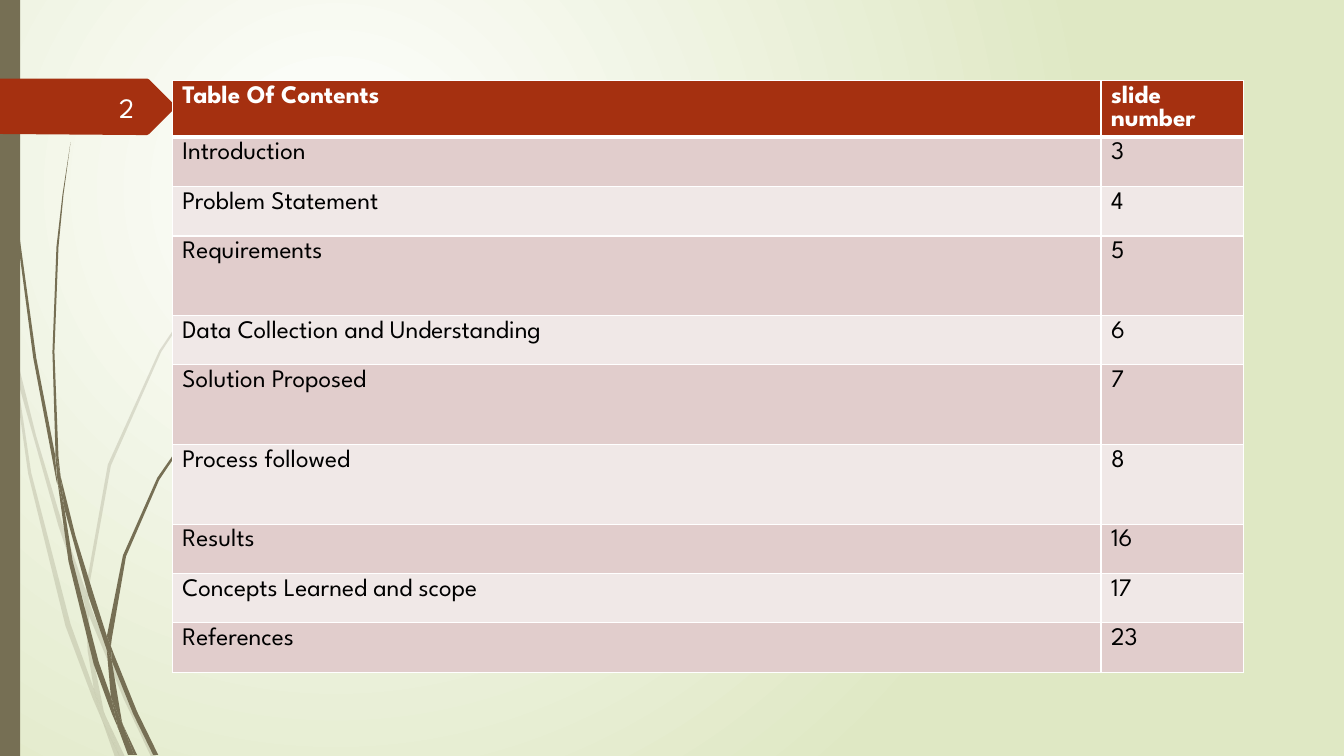
"""Build a table of contents slide with a wispy grass border."""
from dataclasses import dataclass

from pptx import Presentation
from pptx import util as u
from pptx.dml.color import RGBColor
from pptx.enum import shapes, text
from pptx.oxml import parse_xml
from pptx.oxml.ns import nsdecls, qn


@dataclass(frozen=True)
class Theme:
    """Colours, font and type sizes of the slide."""
    font: str = "League Spartan"
    body_size: int = 18
    number_size: int = 20
    grass: str = "766F54"
    accent: str = "A53010"
    white: str = "FFFFFF"
    number: str = "FEFFFF"
    black: str = "000000"
    backdrop: str = "DFE8C4"
    bands: tuple = ("E1CDCC", "F0E8E7")


THEME = Theme()
UNITS_PER_INCH = 100

PALE_WISPS = [
    "11,350 9,322 0,282 0,299 10,344",
    "58,522 84,599 85,586 62,520 36,433 14,345 17,376",
    "92,607 88,596 88,610 123,694 150,751 155,751 127,692",
    "119,751 124,751 105,711",
    "93,683 70,619 31,469 17,376 11,350 28,470 65,621 92,693 101,714 99,707",
    "84,599 87,646 93,683 96,692 105,711 103,706 91,646 88,610 88,608",
    "88,584 110,462 160,349 229,245 268,198 290,175 312,154 312,153 289,175 "
    "268,197 228,244 158,348 107,461 85,584 85,586 88,596",
    "101,714 114,751 119,751",
    "88,608 88,610 88,596 85,586 84,599",
    "96,692 93,683 99,707 101,714 119,751 105,711",
]

DARK_WISPS = [
    "7,110 17,233 33,355 56,477 57,481 55,457 55,453 36,355 19,232 8,109 5,48 "
    "4,0 3,0 4,48",
    "88,592 106,645 106,633 106,631 93,590 75,532 60,472 64,505",
    "113,649 110,641 111,656 132,708 152,749 157,749 136,706",
    "110,691 98,657 72,556 64,505 57,477 68,557 93,659 111,708 117,722 116,717",
    "60,472 58,453 54,349 58,245 63,193 70,141 62,193 56,245 52,349 55,449",
    "133,749 136,749 122,719",
    "57,477 64,505 60,472 55,449 55,453",
    "111,633 125,552 158,476 205,406 231,374 245,359 261,344 260,344 245,358 "
    "231,373 204,405 156,474 122,551 106,631 110,641",
    "117,722 127,749 131,749",
    "106,645 110,691 116,706 122,719 121,716 111,656 109,651",
    "106,645 109,651 111,656 110,641 106,631 106,633",
    "116,706 110,691 116,717 117,722 130,749 133,749 122,719",
]

NUMBER_TAG = "173,108 148,133 146,134 136,134 0,133 0,78 146,78 148,79 173,104 174,106"

HEADER = ("Table Of Contents", "slide number")
SHORT_ROW, TALL_ROW = 0.49, 0.79
CONTENTS = [
    ("Introduction", "3", SHORT_ROW),
    ("Problem Statement", "4", SHORT_ROW),
    ("Requirements", "5", TALL_ROW),
    ("Data Collection and Understanding", "6", SHORT_ROW),
    ("Solution Proposed", "7", TALL_ROW),
    ("Process followed", "8", TALL_ROW),
    ("Results", "16", SHORT_ROW),
    ("Concepts Learned and scope", "17", SHORT_ROW),
    ("References", "23", SHORT_ROW),
]
COLUMN_WIDTHS = (9.21, 1.41)


def set_background(s):
    """Fill the slide with a round gradient centred at its upper left."""
    s.element.find(qn("p:cSld")).insert(0, parse_xml(
        f'<p:bg {nsdecls("p", "a")}><p:bgPr><a:gradFill rotWithShape="1"><a:gsLst>'
        f'<a:gs pos="0"><a:srgbClr val="{THEME.white}"/></a:gs>'
        f'<a:gs pos="100000"><a:srgbClr val="{THEME.backdrop}"/></a:gs></a:gsLst>'
        '<a:path path="circle"><a:fillToRect l="50000" t="50000" r="100000" b="100000"/>'
        '</a:path></a:gradFill><a:effectLst/></p:bgPr></p:bg>'))


def paint(sp, color, alpha=100):
    """Give a shape a plain fill with no line or shadow."""
    sp.shadow.inherit = False
    sp.line.fill.background()
    sp.fill.solid()
    sp.fill.fore_color.rgb = RGBColor.from_string(color)
    if alpha < 100:
        clr = sp.fill._xPr.find(qn("a:solidFill"))[0]
        clr.append(parse_xml(f'<a:alpha {nsdecls("a")} val="{alpha * 1000}"/>'))


def add_outline(container, points, color, alpha=100):
    """Draw a closed outline from points in hundredths of an inch."""
    start, *rest = [tuple(map(int, pt.split(","))) for pt in points.split()]
    builder = container.build_freeform(*start, scale=u.Inches(1) / UNITS_PER_INCH)
    builder.add_line_segments(rest, close=True)
    paint(builder.convert_to_shape(), color, alpha)


def add_wisps(s, wisps, alpha):
    """Draw a group of grass blades."""
    group = s.shapes.add_group_shape()
    for points in wisps:
        add_outline(group.shapes, points, THEME.grass, alpha)


def style_paragraph(p, size, color, bold=False):
    """Set the font of a paragraph."""
    p.font.name = THEME.font
    p.font.size = u.Pt(size)
    p.font.bold = bold
    p.font.color.rgb = RGBColor.from_string(color)


def set_borders(cell, bottom):
    """Put white lines around a cell, the bottom one of a given width."""
    tc_pr = cell._tc.get_or_add_tcPr()
    widths = {"lnL": 1, "lnR": 1, "lnT": 1, "lnB": bottom}
    for i, (side, width) in enumerate(widths.items()):
        tc_pr.insert(i, parse_xml(
            f'<a:{side} {nsdecls("a")} w="{u.Pt(width)}"><a:solidFill>'
            f'<a:srgbClr val="{THEME.white}"/></a:solidFill></a:{side}>'))


def fill_row(row, words, fill, color, header=False):
    """Write and style the cells of one table row."""
    for cell, word in zip(row.cells, words):
        cell.text = word
        cell.fill.solid()
        cell.fill.fore_color.rgb = RGBColor.from_string(fill)
        style_paragraph(cell.text_frame.paragraphs[0], THEME.body_size, color, header)
        set_borders(cell, 3 if header else 1)


def add_contents_table(s):
    """Add the table of topics and slide numbers."""
    heights = [SHORT_ROW] + [height for *_, height in CONTENTS]
    table = s.shapes.add_table(
        len(heights), len(COLUMN_WIDTHS), u.Inches(1.71), u.Inches(0.8),
        u.Inches(sum(COLUMN_WIDTHS)), u.Inches(sum(heights))).table
    for column, width in zip(table.columns, COLUMN_WIDTHS):
        column.width = u.Inches(width)
    for row, height in zip(table.rows, heights):
        row.height = u.Inches(height)
    fill_row(table.rows[0], HEADER, THEME.accent, THEME.white, header=True)
    for i, (topic, number, _) in enumerate(CONTENTS):
        fill_row(table.rows[i + 1], (topic, number), THEME.bands[i % 2], THEME.black)


def add_slide_number(s, number):
    """Write the slide number on its tag."""
    tf = s.shapes.add_textbox(
        u.Inches(0.58), u.Inches(0.86), u.Inches(0.85), u.Inches(0.4)).text_frame
    tf.word_wrap = True
    tf.vertical_anchor = text.MSO_ANCHOR.MIDDLE
    p = tf.paragraphs[0]
    p.text = number
    p.alignment = text.PP_ALIGN.RIGHT
    style_paragraph(p, THEME.number_size, THEME.number)


def main():
    """Build and save the slide."""
    prs = Presentation()
    prs.slide_width, prs.slide_height = u.Inches(13.33), u.Inches(7.5)
    s = prs.slides.add_slide(prs.slide_layouts[6])
    set_background(s)
    add_wisps(s, PALE_WISPS, 20)
    add_wisps(s, DARK_WISPS, 100)
    paint(s.shapes.add_shape(
        shapes.MSO_SHAPE.RECTANGLE, 0, 0, u.Inches(0.2), prs.slide_height), THEME.grass)
    add_outline(s.shapes, NUMBER_TAG, THEME.accent)
    add_contents_table(s)
    add_slide_number(s, "2")
    prs.save("out.pptx")


if __name__ == "__main__":
    main()
